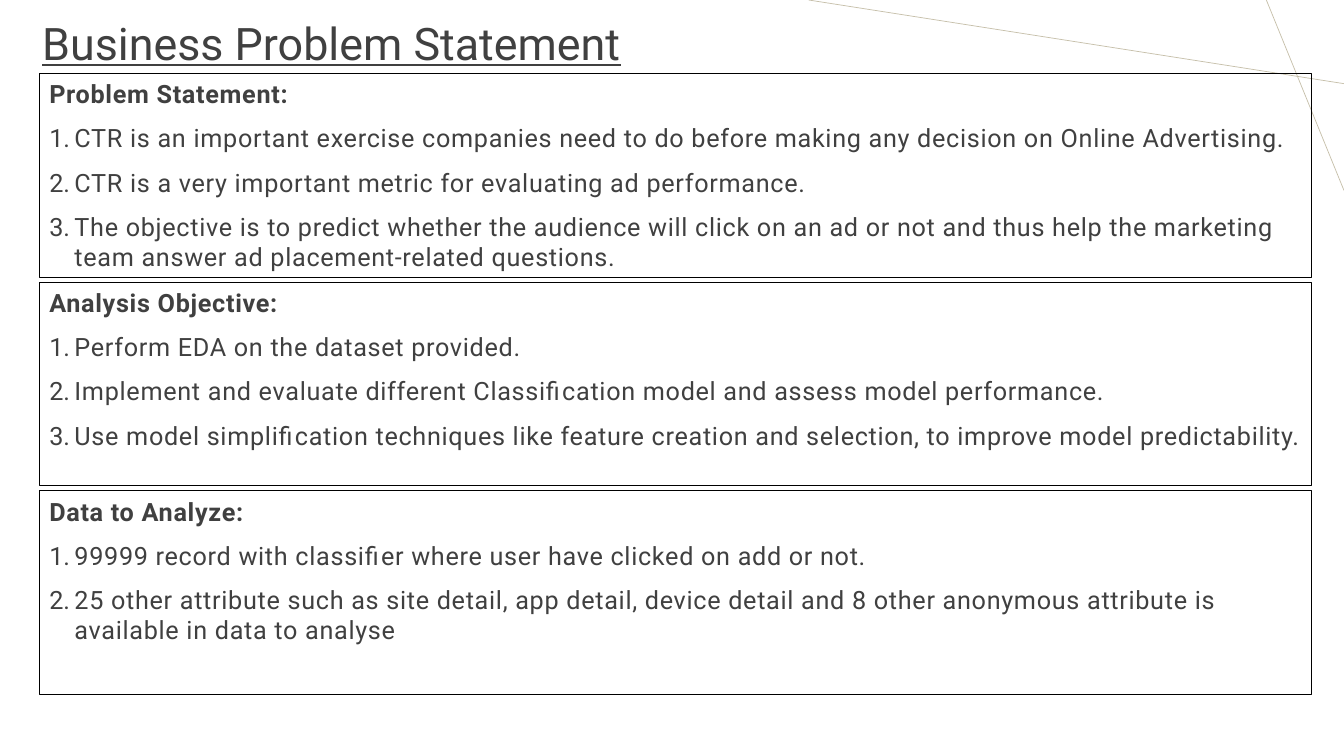
from lxml import etree
from pptx import Presentation
from pptx.dml.color import RGBColor
from pptx.enum.shapes import MSO_CONNECTOR, MSO_SHAPE
from pptx.enum.text import MSO_ANCHOR, PP_ALIGN
from pptx.oxml.ns import qn
from pptx.util import Inches, Pt

STRAIGHT = MSO_CONNECTOR.STRAIGHT
RECTANGLE = MSO_SHAPE.RECTANGLE
TOP = MSO_ANCHOR.TOP
LEFT = PP_ALIGN.LEFT

SECTIONS = [
    ("Problem Statement:", [
        "CTR is an important exercise companies need to do before making any decision on Online Advertising.",
        "CTR is a very important metric for evaluating ad performance.",
        "The objective is to predict whether the audience will click on an ad or not and thus help the marketing team answer ad placement-related questions.",
    ]),
    ("Analysis Objective:", [
        "Perform EDA on the dataset provided.",
        "Implement and evaluate different Classification model and assess model performance.",
        "Use model simplification techniques like feature creation and selection, to improve model predictability.",
    ]),
    ("Data to Analyze:", [
        "99999 record with classifier where user have clicked on add or not.",
        "25 other attribute such as site detail, app detail, device detail and 8 other anonymous attribute is available in data to analyse",
    ]),
]
SECTION_TOP = 0.73
SECTION_PITCH = 2.07


def color(value):
    return RGBColor.from_string(value)


class Page:
    font = "Roboto"
    ink = "404040"
    border = "000000"
    accent = "C6BFA9"

    def __init__(self, deck):
        self.shapes = deck.slides.add_slide(deck.slide_layouts[6]).shapes

    def line(self, start, end):
        connector = self.shapes.add_connector(STRAIGHT, *map(Inches, start + end))
        connector.line.color.rgb = color(self.accent)
        connector.line.width = Pt(0.5)
        etree.SubElement(connector._element.spPr, qn("a:effectLst"))

    def style(self, para, size, bold=False):
        para.alignment = LEFT
        para.space_before = Pt(10)
        para.font.name = self.font
        para.font.size = Pt(size)
        para.font.bold = bold
        para.font.color.rgb = color(self.ink)

    def number(self, para):
        properties = para._p.get_or_add_pPr()
        properties.set("marL", str(Inches(0.25)))
        properties.set("indent", str(Inches(-0.25)))
        etree.SubElement(properties, qn("a:buFont"), typeface=self.font)
        etree.SubElement(properties, qn("a:buAutoNum"), type="arabicPeriod")

    def title(self, text, left, top, width, height):
        box = self.shapes.add_textbox(*map(Inches, (left, top, width, height)))
        box.text_frame.word_wrap = True
        para = box.text_frame.paragraphs[0]
        para.text = text
        self.style(para, 32)
        para.line_spacing = 0.9
        para.font.underline = True

    def section(self, heading, items, left, top, width, height):
        box = self.shapes.add_shape(RECTANGLE, *map(Inches, (left, top, width, height)))
        box.shadow.inherit = False
        box.fill.background()
        box.line.color.rgb = color(self.border)
        box.line.width = Pt(0.75)
        frame = box.text_frame
        frame.word_wrap = True
        frame.vertical_anchor = TOP
        for index, text in enumerate([heading] + items):
            para = frame.add_paragraph() if index else frame.paragraphs[0]
            para.text = text
            if index:
                self.number(para)
            self.style(para, 18, bold=index == 0)
            para._p.pPr.find(qn("a:defRPr")).set("spc", "50")


def main():
    deck = Presentation()
    deck.slide_width = Inches(13.33)
    deck.slide_height = Inches(7.5)
    page = Page(deck)
    page.line((13.33, 0.83), (8.02, 0))
    page.line((12.56, 0), (13.33, 1.89))
    page.title("Business Problem Statement", 0.32, 0.17, 8.98, 0.56)
    for index, (heading, items) in enumerate(SECTIONS):
        page.section(heading, items, 0.39, SECTION_TOP + index * SECTION_PITCH, 12.62, 2.02)
    deck.save("out.pptx")


if __name__ == "__main__":
    main()
